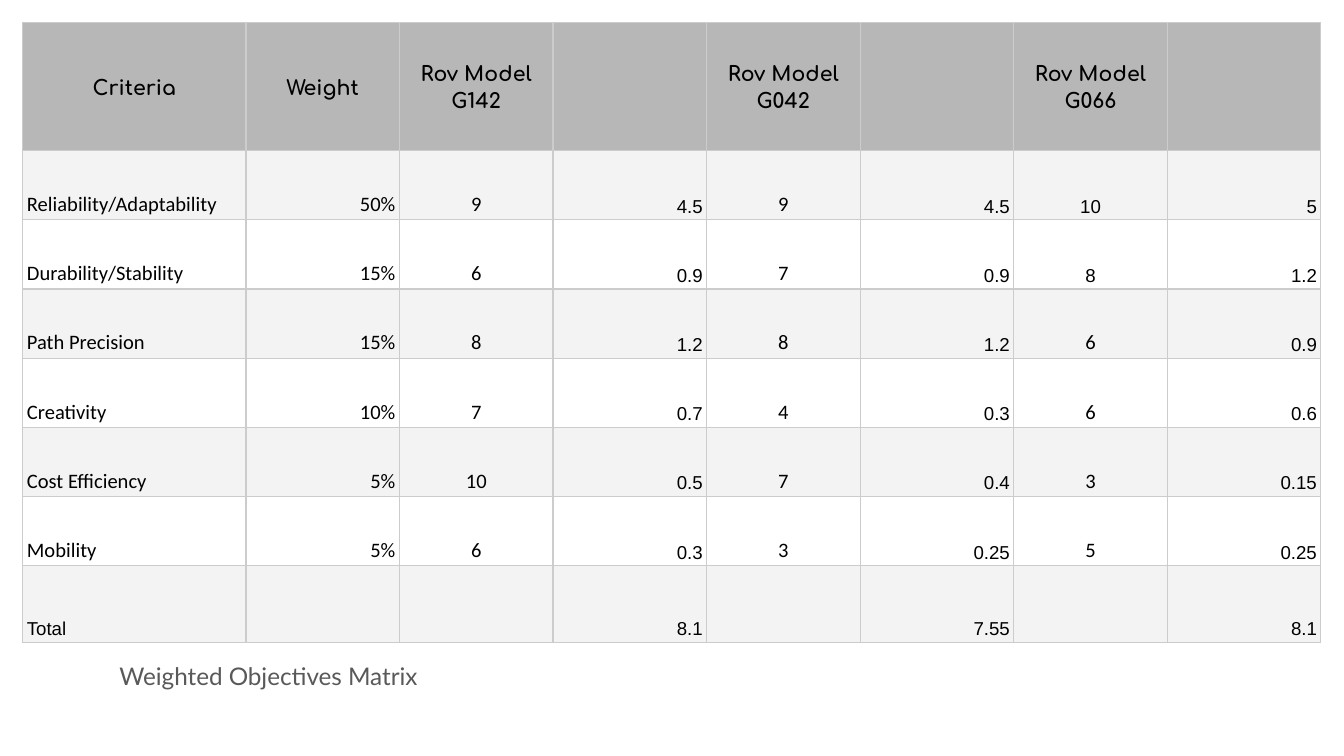
from dataclasses import dataclass

from lxml.etree import SubElement
from pptx import Presentation
from pptx.dml.color import RGBColor
from pptx.enum.text import MSO_ANCHOR as Anchor, PP_ALIGN as Align
from pptx.oxml.ns import qn
from pptx.slide import Slide
from pptx.table import _Cell as Cell
from pptx.text.text import TextFrame
from pptx.util import Inches, Pt

SLIDE_WIDTH = 10
SLIDE_HEIGHT = SLIDE_WIDTH * 9 / 16
TABLE_LEFT, TABLE_TOP = 0.17, 0.17
TABLE_WIDTH, TABLE_HEIGHT = 9.66, 4.61
CRITERIA_WIDTH = 1.66
HEADER_HEIGHT, TOTAL_HEIGHT = 0.95, 0.57
HEADER_FILL, BAND_FILL, PLAIN_FILL = "B7B7B7", "F3F3F3", "FFFFFF"
BORDER_COLOR = "CCCCCC"


@dataclass(frozen=True)
class CellStyle:
    font: str
    size: int
    align: Align
    anchor: Anchor = Anchor.BOTTOM
    bold: bool = False


HEADING = CellStyle("Comfortaa", 11, Align.CENTER, Anchor.MIDDLE, True)
CRITERION = CellStyle("Calibri", 11, Align.LEFT)
WEIGHT = CellStyle("Calibri", 11, Align.RIGHT)
RATING = CellStyle("Calibri", 11, Align.CENTER)
PLAIN_RATING = CellStyle("Arial", 10, Align.CENTER)
SCORE = CellStyle("Arial", 10, Align.RIGHT)
TOTAL_LABEL = CellStyle("Arial", 10, Align.LEFT)
COLUMN_STYLES = [CRITERION, WEIGHT] + [RATING, SCORE] * 3
LAST_RATING_COLUMN = 6

ROWS = [
    ["Criteria", "Weight", "Rov Model G142", "", "Rov Model G042", "", "Rov Model G066", ""],
    ["Reliability/Adaptability", "50%", "9", "4.5", "9", "4.5", "10", "5"],
    ["Durability/Stability", "15%", "6", "0.9", "7", "0.9", "8", "1.2"],
    ["Path Precision", "15%", "8", "1.2", "8", "1.2", "6", "0.9"],
    ["Creativity", "10%", "7", "0.7", "4", "0.3", "6", "0.6"],
    ["Cost Efficiency", "5%", "10", "0.5", "7", "0.4", "3", "0.15"],
    ["Mobility", "5%", "6", "0.3", "3", "0.25", "5", "0.25"],
    ["Total", "", "", "8.1", "", "7.55", "", "8.1"],
]
TOTAL_ROW = len(ROWS) - 1


def color(value: str) -> RGBColor:
    return RGBColor.from_string(value)


def write(frame: TextFrame, text: str, *, font: str, size: int, fill: str = "000000",
          align: Align = Align.LEFT, bold: bool = False, spacing: float = 1.0) -> None:
    para = frame.paragraphs[0]
    para.alignment = align
    para.line_spacing = spacing
    span = para.add_run()
    span.text = text
    span.font.name = font
    span.font.size = Pt(size)
    span.font.bold = bold
    span.font.color.rgb = color(fill)


def add_borders(cell: Cell) -> None:
    properties = cell._tc.get_or_add_tcPr()
    for side in ("a:lnL", "a:lnR", "a:lnT", "a:lnB"):
        line = SubElement(properties, qn(side), w=str(Pt(0.75)))
        fill = SubElement(line, qn("a:solidFill"))
        SubElement(fill, qn("a:srgbClr"), val=BORDER_COLOR)


def style_for(row: int, column: int) -> CellStyle:
    if row == 0:
        return HEADING
    if row == TOTAL_ROW and column == 0:
        return TOTAL_LABEL
    if row <= 2 and column == LAST_RATING_COLUMN:
        return PLAIN_RATING
    return COLUMN_STYLES[column]


def fill_for(row: int) -> str:
    if row == 0:
        return HEADER_FILL
    return BAND_FILL if row % 2 else PLAIN_FILL


def draw_cell(cell: Cell, text: str, style: CellStyle, fill: str) -> None:
    add_borders(cell)
    cell.fill.solid()
    cell.fill.fore_color.rgb = color(fill)
    cell.margin_left = cell.margin_right = Inches(0.03)
    cell.margin_top = cell.margin_bottom = Inches(0.02)
    cell.vertical_anchor = style.anchor
    if text:
        write(cell.text_frame, text, font=style.font, size=style.size,
              align=style.align, bold=style.bold, spacing=1.15)


def draw_matrix(page: Slide) -> None:
    table = page.shapes.add_table(
        len(ROWS), len(COLUMN_STYLES), Inches(TABLE_LEFT), Inches(TABLE_TOP),
        Inches(TABLE_WIDTH), Inches(TABLE_HEIGHT)).table
    table.first_row = table.horz_banding = False

    value_width = (TABLE_WIDTH - CRITERIA_WIDTH) / (len(COLUMN_STYLES) - 1)
    for index, column in enumerate(table.columns):
        column.width = Inches(value_width if index else CRITERIA_WIDTH)

    body_height = (TABLE_HEIGHT - HEADER_HEIGHT - TOTAL_HEIGHT) / (len(ROWS) - 2)
    heights = {0: HEADER_HEIGHT, TOTAL_ROW: TOTAL_HEIGHT}
    for row, texts in enumerate(ROWS):
        table.rows[row].height = Inches(heights.get(row, body_height))
        for column, text in enumerate(texts):
            draw_cell(table.cell(row, column), text, style_for(row, column), fill_for(row))


def draw_caption(page: Slide) -> None:
    box = page.shapes.add_textbox(Inches(0.79), Inches(4.78), Inches(8.42), Inches(0.5))
    frame = box.text_frame
    frame.word_wrap = True
    frame.vertical_anchor = Anchor.MIDDLE
    frame.margin_left = frame.margin_right = Inches(0.1)
    frame.margin_top = frame.margin_bottom = Inches(0.1)
    write(frame, "Weighted Objectives Matrix", font="Lato", size=13, fill="595959")


def main() -> None:
    deck = Presentation()
    deck.slide_width, deck.slide_height = Inches(SLIDE_WIDTH), Inches(SLIDE_HEIGHT)
    page = deck.slides.add_slide(deck.slide_layouts[6])
    draw_caption(page)
    draw_matrix(page)
    deck.save("out.pptx")


if __name__ == "__main__":
    main()
